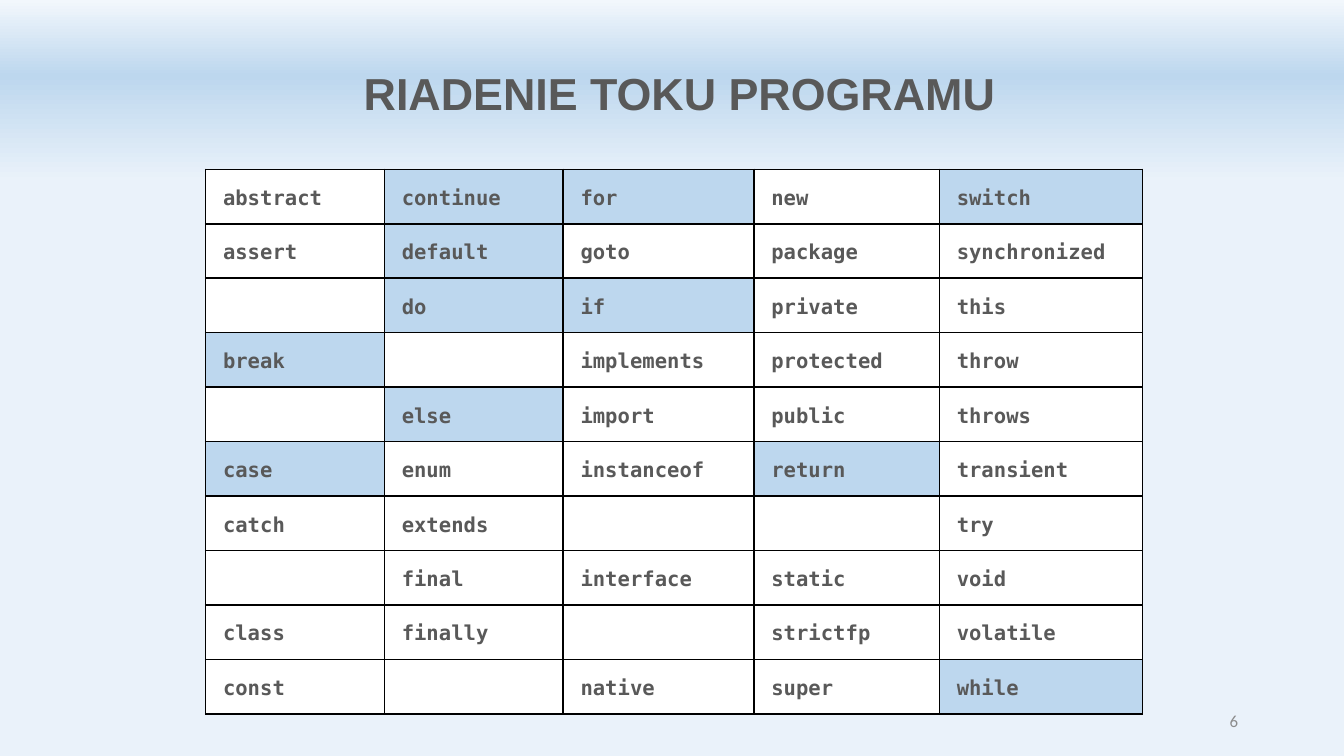
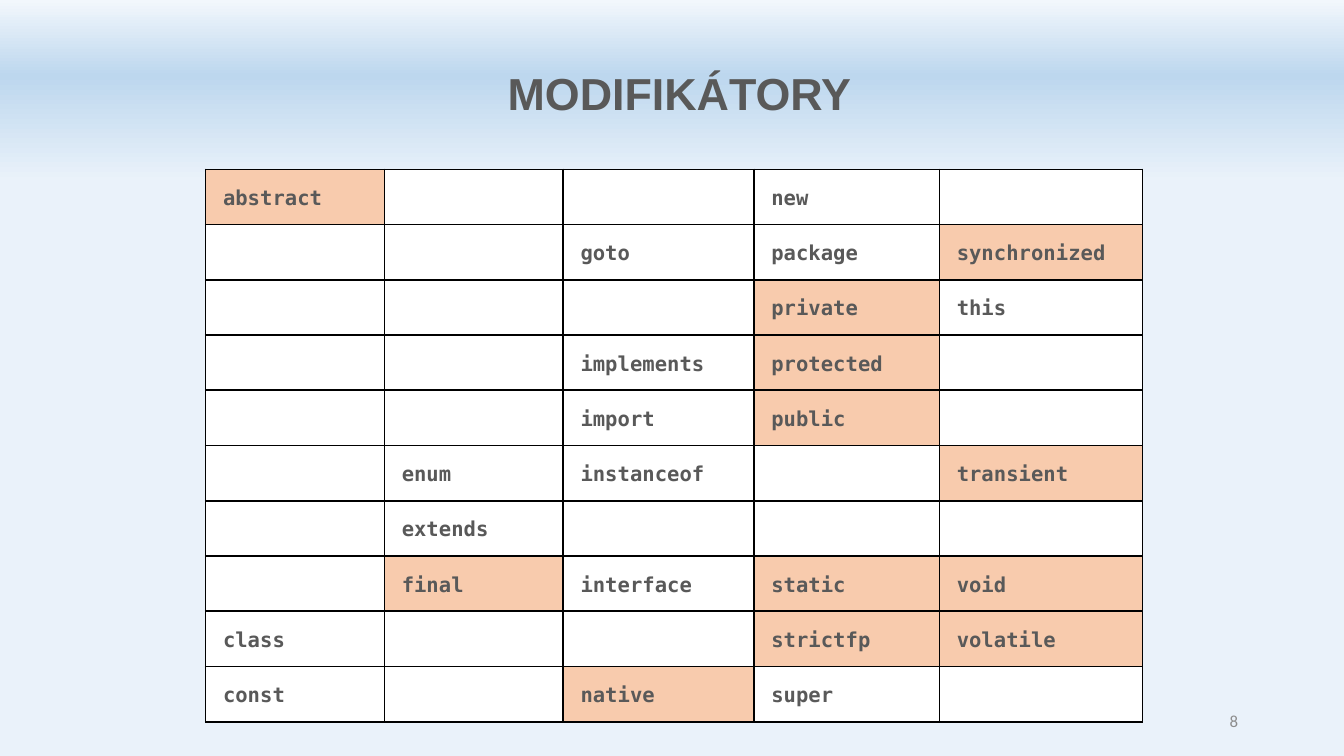
from lxml.etree import SubElement
from pptx import Presentation
from pptx.dml.color import RGBColor
from pptx.enum.text import MSO_ANCHOR as Anchor, PP_ALIGN as Align
from pptx.oxml.ns import qn
from pptx.util import Inches, Pt

COLORS = {
    "text": "595959",
    "number": "8C8C8C",
    "border": "000000",
    "plain": "FFFFFF",
    "flow": "BDD7EE",
    "modifier": "F8CBAD",
}
BACKGROUND_STOPS = [(0, "F2F7FC"), (10, "BDD7EE"), (24, "EAF2FA")]
COLUMN_WIDTHS = [1.33, 1.33, 1.42, 1.38, 1.51]
CODE_FONT = "DejaVu Sans Mono"
CODE_SIZE = 11
GAP = "-"

KEYWORDS = """
abstract continue for        new       switch
assert   default  goto       package   synchronized
-        do       if         private   this
break    -        implements protected throw
-        else     import     public    throws
case     enum     instanceof return    transient
catch    extends  -          -         try
-        final    interface  static    void
class    finally  -          strictfp  volatile
const    -        native     super     while
"""
KEYWORD_ROWS = [line.split() for line in KEYWORDS.strip().splitlines()]
FLOW = set("break case continue default do else for if return switch while".split())
EXCEPTIONS = set("assert catch finally throw throws try".split())
MODIFIERS = set(
    "abstract final native private protected public static strictfp "
    "synchronized transient void volatile".split()
)


def rgb(name):
    return RGBColor.from_string(COLORS[name])


def set_font(font, name, size, color, bold=False):
    font.name = name
    font.size = Pt(size)
    font.color.rgb = rgb(color)
    font.bold = bold


def set_background(slide):
    fill = slide.background.fill
    fill.gradient()
    fill.gradient_angle = 270
    stops = slide.element.find(".//" + qn("a:gsLst"))
    for stop in list(stops):
        stops.remove(stop)
    for percent, color in BACKGROUND_STOPS:
        stop = SubElement(stops, qn("a:gs"), pos=str(percent * 1000))
        SubElement(stop, qn("a:srgbClr"), val=color)


def add_text(slide, text, left, top, width, height, align):
    """Add a one-line text box and return its frame and paragraph."""
    box = slide.shapes.add_textbox(
        Inches(left), Inches(top), Inches(width), Inches(height)
    )
    frame = box.text_frame
    frame.word_wrap = True
    paragraph = frame.paragraphs[0]
    paragraph.text = text
    paragraph.alignment = align
    return frame, paragraph


def add_title(slide, text):
    frame, paragraph = add_text(slide, text, 2.2, 0.39, 5.71, 0.58, Align.CENTER)
    frame.margin_top = frame.margin_bottom = Inches(0.1)
    set_font(paragraph.font, "Arial", 24, "text", bold=True)


def add_slide_number(slide, number):
    frame, paragraph = add_text(slide, str(number), 7.06, 5.21, 2.25, 0.3, Align.RIGHT)
    frame.vertical_anchor = Anchor.MIDDLE
    set_font(paragraph.font, "Calibri", 9, "number")


def add_borders(cell):
    properties = cell._tc.get_or_add_tcPr()
    for side in ("a:lnL", "a:lnR", "a:lnT", "a:lnB"):
        line = SubElement(properties, qn(side), w=str(Pt(1)))
        fill = SubElement(line, qn("a:solidFill"))
        SubElement(fill, qn("a:srgbClr"), val=COLORS["border"])


def fill_cell(cell, word, color):
    add_borders(cell)
    cell.fill.solid()
    cell.fill.fore_color.rgb = rgb(color)
    cell.margin_left = cell.margin_right = Inches(0.07)
    cell.margin_top = cell.margin_bottom = Inches(0.1)
    paragraph = cell.text_frame.paragraphs[0]
    paragraph.line_spacing = 1.15
    set_font(paragraph.font, CODE_FONT, CODE_SIZE, "text", bold=True)
    indents = paragraph._p.get_or_add_pPr()
    indents.set("marL", str(Inches(0.06)))
    indents.set("indent", "0")
    if word:
        paragraph.text = word
    else:
        # An empty cell takes its line height from the end mark.
        end = SubElement(paragraph._p, qn("a:endParaRPr"), sz=str(CODE_SIZE * 100))
        SubElement(end, qn("a:latin"), typeface=CODE_FONT)


def add_keyword_table(slide, marked, mark_color, hidden):
    """Draw the keyword grid, filling marked words and blanking hidden ones."""
    frame = slide.shapes.add_table(
        len(KEYWORD_ROWS), len(COLUMN_WIDTHS),
        Inches(1.53), Inches(1.26), Inches(6.97), Inches(3.97),
    )
    table = frame.table
    table.first_row = table.horz_banding = False
    for column, width in zip(table.columns, COLUMN_WIDTHS):
        column.width = Inches(width)
    for row, words in zip(table.rows, KEYWORD_ROWS):
        row.height = Inches(0.3)
        for cell, word in zip(row.cells, words):
            shown = "" if word == GAP or word in hidden else word
            fill_cell(cell, shown, mark_color if shown in marked else "plain")
    frame.height = Inches(3.97)


def add_keyword_slide(presentation, title, number, marked, mark_color, hidden=()):
    slide = presentation.slides.add_slide(presentation.slide_layouts[6])
    set_background(slide)
    add_keyword_table(slide, marked, mark_color, hidden)
    add_slide_number(slide, number)
    add_title(slide, title)


def main():
    presentation = Presentation()
    presentation.slide_width = Inches(10)
    presentation.slide_height = Inches(10) * 9 // 16
    add_keyword_slide(presentation, "RIADENIE TOKU PROGRAMU", 6, FLOW, "flow")
    add_keyword_slide(
        presentation, "MODIFIKÁTORY", 8, MODIFIERS, "modifier", FLOW | EXCEPTIONS
    )
    presentation.save("out.pptx")


if __name__ == "__main__":
    main()
